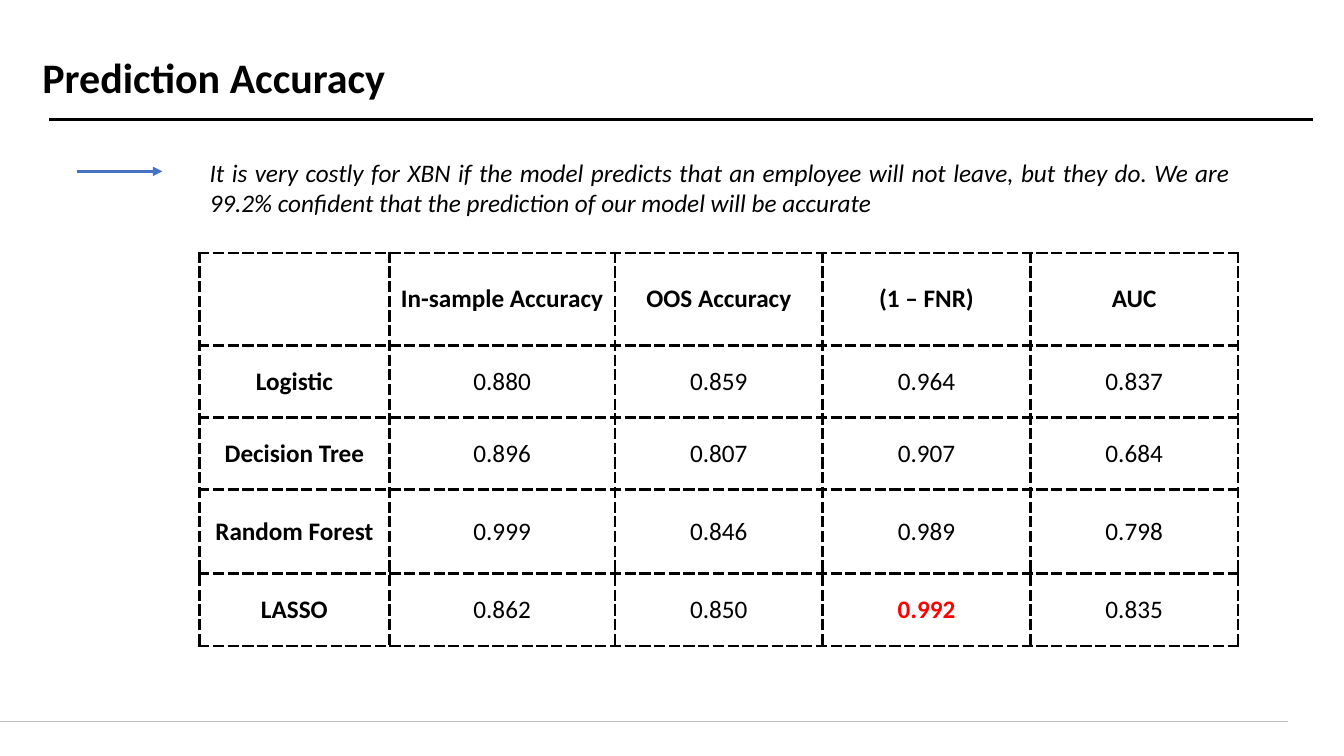
from lxml import etree
from pptx import Presentation
from pptx.dml.color import RGBColor
from pptx.enum import shapes, text
from pptx.oxml import ns
from pptx.util import Inches, Pt

TITLE = "Prediction Accuracy"
MESSAGE = ("It is very costly for XBN if the model predicts that an employee will not leave, "
           "but they do. We are 99.2% confident that the prediction of our model will be accurate")
ACCURACY = [
    ["", "In-sample Accuracy", "OOS Accuracy", "(1 – FNR)", "AUC"],
    ["Logistic", "0.880", "0.859", "0.964", "0.837"],
    ["Decision Tree", "0.896", "0.807", "0.907", "0.684"],
    ["Random Forest", "0.999", "0.846", "0.989", "0.798"],
    ["LASSO", "0.862", "0.850", "0.992", "0.835"],
]
BEST = "0.992"
COLUMN_WIDTHS = [1.88, 2.24, 2.06, 2.06, 2.06]
ROW_HEIGHTS = [0.92, 0.71, 0.72, 0.83, 0.72]
CONTENT_LEFT, CONTENT_WIDTH = 1.98, 10.32
BLACK, RED, BLUE, GREY = "000000", "FF0000", "4472C4", "BFBFBF"
FONT = "Calibri"


def color(value):
    return RGBColor.from_string(value)


def format_text(paragraph, size, alignment, ink=BLACK, bold=False, italic=False):
    paragraph.alignment = alignment
    for run in paragraph.runs:
        run.font.name = FONT
        run.font.size = Pt(size)
        run.font.bold = bold
        run.font.italic = italic
        run.font.color.rgb = color(ink)


def add_line(slide, left, right, top, ink, width):
    line = slide.shapes.add_connector(
        shapes.MSO_CONNECTOR.STRAIGHT, Inches(left), Inches(top), Inches(right), Inches(top))
    line.line.color.rgb = color(ink)
    line.line.width = Pt(width)
    etree.SubElement(line._element.spPr, ns.qn("a:effectLst"))
    return line


def add_arrowhead(line):
    outline = line.line._get_or_add_ln()
    etree.SubElement(outline, ns.qn("a:tailEnd"), type="triangle")


def add_dashed_borders(cell):
    properties = cell._tc.get_or_add_tcPr()
    for position, side in enumerate(("lnL", "lnR", "lnT", "lnB")):
        border = etree.Element(ns.qn(f"a:{side}"), w=str(Pt(2.25)))
        fill = etree.SubElement(border, ns.qn("a:solidFill"))
        etree.SubElement(fill, ns.qn("a:srgbClr"), val=BLACK)
        etree.SubElement(border, ns.qn("a:prstDash"), val="sysDash")
        properties.insert(position, border)


def add_title(slide):
    title = slide.shapes.title
    title.left, title.top = Inches(0.42), Inches(0.47)
    title.width, title.height = Inches(12.5), Inches(0.64)
    frame = title.text_frame
    frame.text = TITLE
    frame.auto_size = text.MSO_AUTO_SIZE.NONE
    frame.vertical_anchor = text.MSO_ANCHOR.MIDDLE
    frame.margin_left = frame.margin_right = frame.margin_top = frame.margin_bottom = 0
    frame.paragraphs[0].line_spacing = 0.9
    format_text(frame.paragraphs[0], 30, text.PP_ALIGN.LEFT, bold=True)


def add_message(slide):
    box = slide.shapes.add_textbox(
        Inches(CONTENT_LEFT), Inches(1.51), Inches(CONTENT_WIDTH), Inches(0.71))
    frame = box.text_frame
    frame.word_wrap = True
    frame.text = MESSAGE
    format_text(frame.paragraphs[0], 18, text.PP_ALIGN.JUSTIFY, italic=True)


def add_accuracy_table(slide):
    table = slide.shapes.add_table(
        len(ROW_HEIGHTS), len(COLUMN_WIDTHS), Inches(CONTENT_LEFT), Inches(2.51),
        Inches(sum(COLUMN_WIDTHS)), Inches(sum(ROW_HEIGHTS))).table
    table.first_row = table.horz_banding = False
    for column, width in zip(table.columns, COLUMN_WIDTHS):
        column.width = Inches(width)
    for row, height in zip(table.rows, ROW_HEIGHTS):
        row.height = Inches(height)
    for row_index, values in enumerate(ACCURACY):
        for column_index, value in enumerate(values):
            cell = table.cell(row_index, column_index)
            cell.text_frame.text = value
            cell.vertical_anchor = text.MSO_ANCHOR.MIDDLE
            cell.margin_left = cell.margin_right = Inches(0.07)
            cell.margin_top = cell.margin_bottom = 0
            cell.fill.background()
            add_dashed_borders(cell)
            is_best = value == BEST
            is_heading = row_index == 0 or column_index == 0
            format_text(cell.text_frame.paragraphs[0], 18, text.PP_ALIGN.CENTER,
                        RED if is_best else BLACK, bold=is_heading or is_best)


def main():
    presentation = Presentation()
    presentation.slide_width, presentation.slide_height = Inches(13.33), Inches(7.5)
    slide = presentation.slides.add_slide(presentation.slide_layouts[5])
    add_title(slide)
    add_line(slide, 0, 12.77, 7.16, GREY, 0.5)
    add_line(slide, 0.49, 13.02, 1.19, BLACK, 2.25)
    add_message(slide)
    add_accuracy_table(slide)
    add_arrowhead(add_line(slide, 0.76, 1.61, 1.7, BLUE, 2.25))
    presentation.save("out.pptx")


if __name__ == "__main__":
    main()
